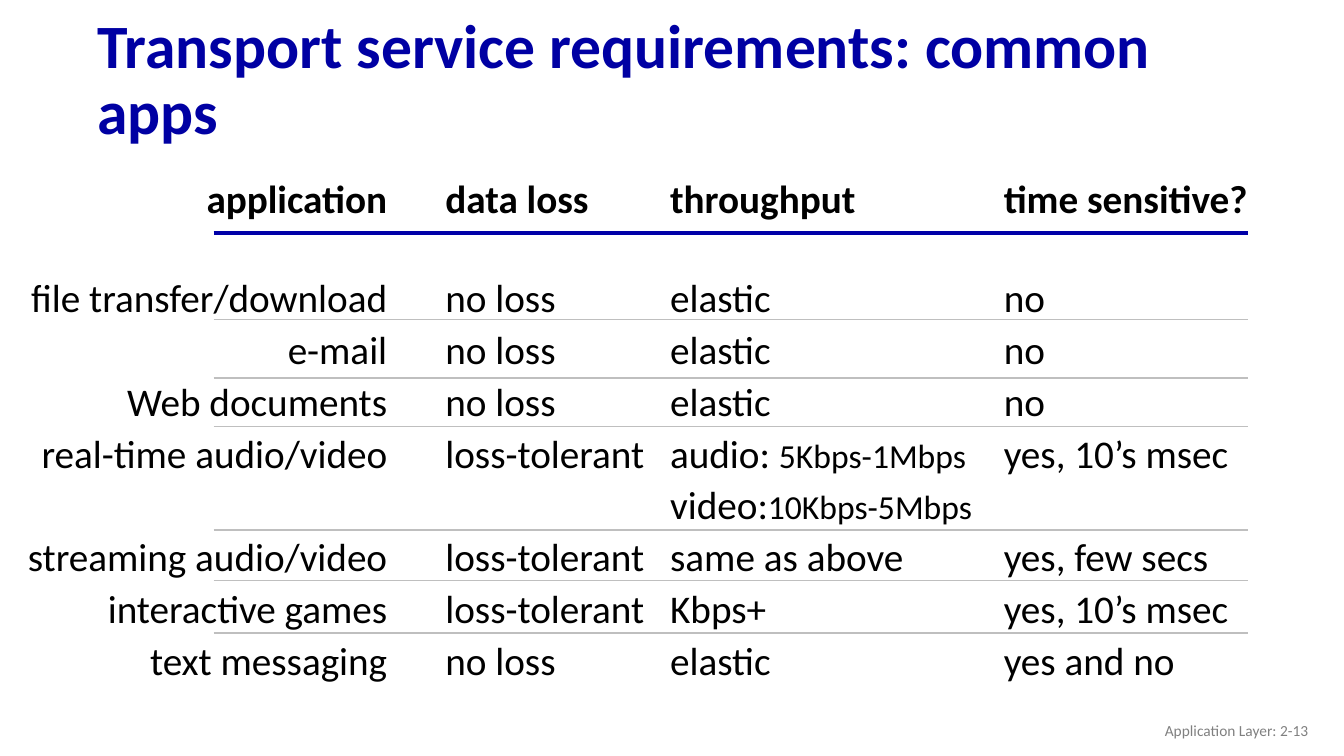
from pptx import Presentation
from pptx.dml.color import RGBColor
from pptx.enum.shapes import MSO_CONNECTOR
from pptx.enum.text import MSO_ANCHOR, PP_ALIGN
from pptx.oxml.ns import qn
from pptx.util import Pt
from lxml.etree import SubElement

NAVY = RGBColor(0x00, 0x00, 0xA3)
RULE_BLUE = RGBColor(0x00, 0x00, 0xA8)
RULE_GRAY = RGBColor(0xBF, 0xBF, 0xBF)
FOOTER_GRAY = RGBColor(0x80, 0x80, 0x80)
BLACK = RGBColor(0, 0, 0)
FONT = "Calibri"

HEADER_GAP = 34
ROW_GAP = 37


def add_text_box(left, top, width, height, wrap=True, anchor=MSO_ANCHOR.TOP):
    text_frame = slide.shapes.add_textbox(Pt(left), Pt(top), Pt(width), Pt(height)).text_frame
    text_frame.word_wrap = wrap
    text_frame.vertical_anchor = anchor
    return text_frame


def format_font(font, size, color, bold=False):
    font.name = FONT
    font.size = Pt(size)
    font.bold = bold
    font.color.rgb = color


presentation = Presentation()
presentation.slide_width = Pt(960)
presentation.slide_height = Pt(540)
slide = presentation.slides.add_slide(presentation.slide_layouts[6])

# Title
title = add_text_box(62.64, 23.04, 828, 70.56, anchor=MSO_ANCHOR.MIDDLE)
title.text = "Transport service requirements: common apps"
title.paragraphs[0].line_spacing = 0.9
format_font(title.paragraphs[0].runs[0].font, 44, NAVY, bold=True)

# Columns: left, width, wrap, alignment, entries with the header first.
# An empty entry skips a row; text after "|" is set smaller.
columns = [
    (9.36, 274.32, False, PP_ALIGN.RIGHT,
     ["application", "file transfer/download", "e-mail", "Web documents",
      "real-time audio/video", "", "streaming audio/video", "interactive games",
      "text messaging"]),
    (311.04, 158.4, False, PP_ALIGN.LEFT,
     ["data loss", "no loss", "no loss", "no loss", "loss-tolerant", "",
      "loss-tolerant", "loss-tolerant", "no loss"]),
    (471.6, 238.32, True, PP_ALIGN.LEFT,
     ["throughput", "elastic", "elastic", "elastic", "audio: |5Kbps-1Mbps",
      "video:|10Kbps-5Mbps", "same as above", "Kbps+", "elastic"]),
    (709.92, 231.12, True, PP_ALIGN.LEFT,
     ["time sensitive?", "no", "no", "no", "yes, 10’s msec", "",
      "yes, few secs", "yes, 10’s msec", "yes and no"]),
]
for left, width, wrap, alignment, entries in columns:
    text_frame = add_text_box(left, 120.96, width, 371.52, wrap)
    gap = 0
    for index, entry in enumerate(entries):
        if not entry:
            gap = ROW_GAP
            continue
        is_header = index == 0
        paragraph = text_frame.paragraphs[0] if is_header else text_frame.add_paragraph()
        paragraph.alignment = alignment
        paragraph.line_spacing = 1.0 if is_header else 1.1
        paragraph.space_before = Pt(gap)
        for part, size in zip(entry.split("|"), (28, 24)):
            run = paragraph.add_run()
            run.text = part
            format_font(run.font, size, BLACK, bold=is_header)
        gap = HEADER_GAP if is_header else 0

# Rules: blue under the header, gray between rows
rules = [(166.3, RULE_BLUE, 2.5)]
rules += [(y, RULE_GRAY, 1.25) for y in (228.2, 270, 304.6, 378.7, 414.7, 452.2)]
for y, color, weight in rules:
    rule = slide.shapes.add_connector(MSO_CONNECTOR.STRAIGHT, Pt(152.6), Pt(y), Pt(891.4), Pt(y))
    rule.line.color.rgb = color
    rule.line.width = Pt(weight)
    SubElement(rule.element.spPr, qn("a:effectLst"))

# Footer
footer = add_text_box(725.76, 507.6, 216, 28.8, anchor=MSO_ANCHOR.MIDDLE)
footer.text = "Application Layer: 2-13"
footer.paragraphs[0].alignment = PP_ALIGN.RIGHT
format_font(footer.paragraphs[0].runs[0].font, 11, FOOTER_GRAY)

presentation.save("out.pptx")
